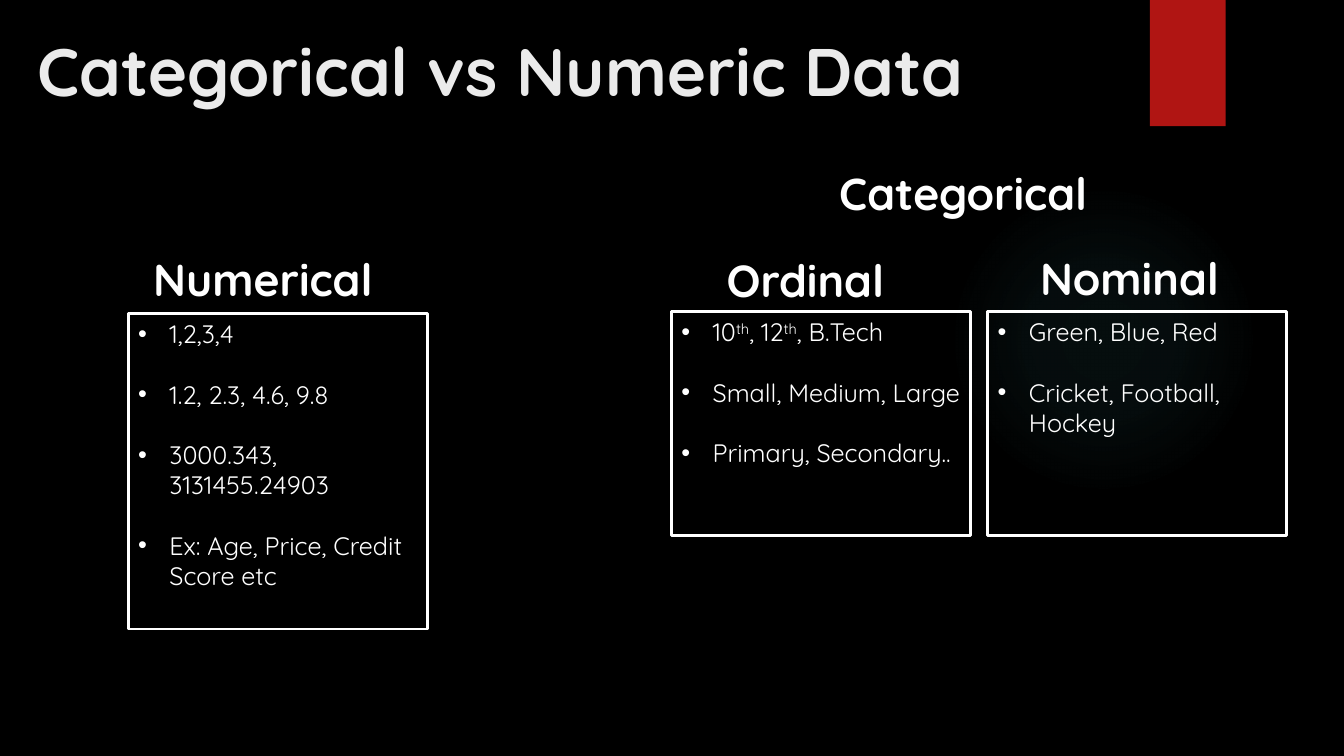
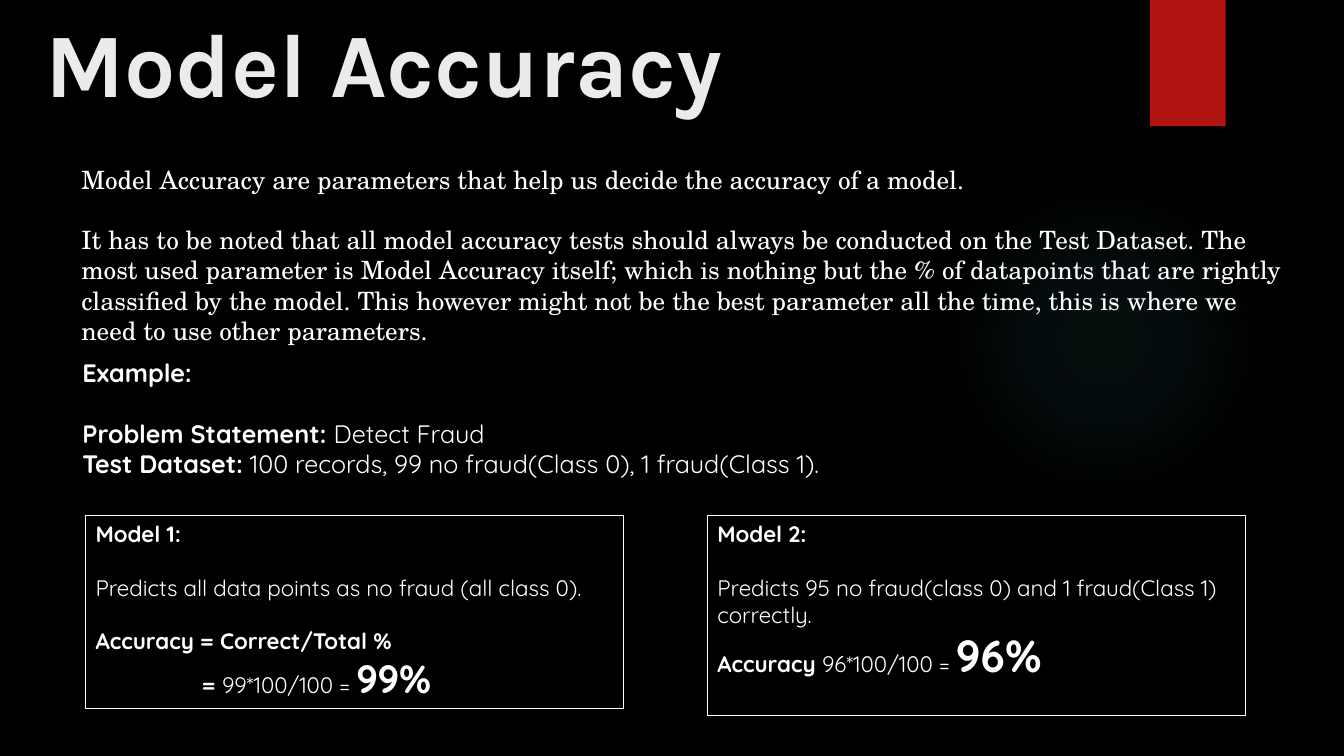
"""Build two slides: data types and model accuracy."""
from lxml import etree
from pptx import Presentation
from pptx.dml.color import RGBColor
from pptx.enum.shapes import MSO_SHAPE
from pptx.enum.text import MSO_ANCHOR
from pptx.oxml.ns import qn
from pptx.util import Cm, Pt

RECT, OVAL = MSO_SHAPE.RECTANGLE, MSO_SHAPE.OVAL
TOP, BOTTOM = MSO_ANCHOR.TOP, MSO_ANCHOR.BOTTOM
SANS, TITLE_SANS, SERIF = "Quicksand", "Karla", "TeX Gyre Schola"
BLACK, WHITE, TITLE_GREY, RED, TEAL = "000000", "FFFFFF", "EBEBEB", "B01513", "50B9C1"
GLOW_STOPS = [(0, 7), (36, 6), (69, 0)]
LINE_HEIGHT = 1.2
BULLET_INDENT = 0.79

BOLD = {"bold": True}
SUPER = {"baseline": 30}

HEADINGS = [
    ("Numerical", (3.61, 6.22, 6.78, 1.63)),
    ("Categorical", (20.9, 4.06, 7.98, 1.63)),
    ("Ordinal", (18.06, 6.25, 5.23, 1.63)),
    ("Nominal", (25.96, 6.2, 5.41, 1.63)),
]
EXAMPLES = [
    ((3.23, 7.9, 7.54, 7.95),
     ["1,2,3,4", "1.2, 2.3, 4.6, 9.8", "3000.343, 3131455.24903",
      "Ex: Age, Price, Credit Score etc"]),
    ((16.92, 7.85, 7.54, 5.64),
     [[("10", {}), ("th", SUPER), (", 12", {}), ("th", SUPER), (", B.Tech", {})],
      "Small, Medium, Large", "Primary, Secondary.."]),
    ((24.89, 7.85, 7.54, 5.64),
     ["Green, Blue, Red", "Cricket, Football, Hockey"]),
]
INTRO = [
    "Model Accuracy are parameters that help us decide the accuracy of a model.",
    "It has to be noted that all model accuracy tests should always be conducted on the "
    "Test Dataset. The most used parameter is Model Accuracy itself; which is nothing but "
    "the % of datapoints that are rightly classified by the model. This however might not "
    "be the best parameter all the time, this is where we need to use other parameters.",
]
PROBLEM = [
    [("Example:", BOLD)],
    [("Problem Statement: ", BOLD), ("Detect Fraud", {})],
    [("Test Dataset:", BOLD), (" 100 records, 99 no fraud(Class 0), 1 fraud(Class 1).", {})],
]
MODELS = [
    ((2.16, 12.98, 13.56, 4.88),
     [[("Model 1:", BOLD)],
      "Predicts all data points as no fraud (all class 0).",
      [("Accuracy = Correct/Total %", BOLD)],
      [("= ", BOLD), ("99*100/100 = ", {}), ("99%", {"bold": True, "size": 28})]],
     {"gaps": {1, 2}, "indents": {3: 2.68}}),
    ((17.83, 12.98, 13.56, 5.05),
     [[("Model 2:", BOLD)],
      "Predicts 95 no fraud(class 0) and 1 fraud(Class 1) correctly.",
      [("Accuracy ", BOLD), ("96*100/100 = ", {}), ("96%", {"bold": True, "size": 32})]],
     {"gaps": {1}}),
]


def rgb(value):
    """Turn a hex string into a colour."""
    return RGBColor.from_string(value)


def add_run(p, text, size=18, font=SANS, color=WHITE, bold=False, baseline=0):
    """Append formatted text to a paragraph."""
    r = p.add_run()
    r.text = text
    r.font.size, r.font.name, r.font.bold = Pt(size), font, bold
    r.font.color.rgb = rgb(color)
    if baseline:
        r.font._element.set("baseline", str(baseline * 1000))


def add_bullet(p):
    """Give a paragraph a hanging round bullet."""
    pPr = p._p.get_or_add_pPr()
    pPr.set("marL", str(Cm(BULLET_INDENT)))
    pPr.set("indent", str(-Cm(BULLET_INDENT)))
    etree.SubElement(pPr, qn("a:buFont")).set("typeface", "Arial")
    etree.SubElement(pPr, qn("a:buChar")).set("char", "•")


def fill_text(tf, paragraphs, gaps=(), indents=None, bullets=False, anchor=TOP, **style):
    """Write paragraphs, with one line of space before those listed in gaps."""
    tf.word_wrap, tf.vertical_anchor = True, anchor
    for i, runs in enumerate(paragraphs):
        p = tf.paragraphs[0] if i == 0 else tf.add_paragraph()
        if i in gaps:
            p.space_before = Pt(style.get("size", 18) * LINE_HEIGHT)
        if bullets:
            add_bullet(p)
        if indents and i in indents:
            p._p.get_or_add_pPr().set("marL", str(Cm(indents[i])))
        for text, extra in [(runs, {})] if isinstance(runs, str) else runs:
            add_run(p, text, **{**style, **extra})


def add_text(s, at, paragraphs, **options):
    """Add a text box."""
    fill_text(s.shapes.add_textbox(*map(Cm, at)).text_frame, paragraphs, **options)


def add_plain_shape(s, kind, at, fill=None):
    """Add a shape without shadow or outline."""
    sp = s.shapes.add_shape(kind, *map(Cm, at))
    sp.shadow.inherit = False
    sp.line.fill.background()
    if fill:
        sp.fill.solid()
        sp.fill.fore_color.rgb = rgb(fill)
    else:
        sp.fill.background()
    return sp


def add_framed_text(s, at, paragraphs, line_width, **options):
    """Add text inside a white outline."""
    sp = add_plain_shape(s, RECT, at)
    sp.line.color.rgb = rgb(WHITE)
    sp.line.width = Pt(line_width)
    fill_text(sp.text_frame, paragraphs, **options)
    for p in sp.text_frame.paragraphs:
        p._p.get_or_add_pPr().set("algn", "l")


def add_glow(s):
    """Add the faint round glow."""
    sp = add_plain_shape(s, OVAL, (23.9, 4.65, 7.82, 7.82))
    grad = etree.Element(qn("a:gradFill"), rotWithShape="1")
    stops = etree.SubElement(grad, qn("a:gsLst"))
    for pos, alpha in GLOW_STOPS:
        stop = etree.SubElement(stops, qn("a:gs"), pos=str(pos * 1000))
        color = etree.SubElement(stop, qn("a:srgbClr"), val=TEAL)
        etree.SubElement(color, qn("a:alpha"), val=str(alpha * 1000))
    circle = etree.SubElement(grad, qn("a:path"), path="circle")
    etree.SubElement(circle, qn("a:fillToRect"), l="50000", t="50000", r="50000", b="50000")
    spPr = sp._element.spPr
    spPr.replace(spPr.find(qn("a:noFill")), grad)


def add_slide(prs, title, left, top, size, font):
    """Add a slide with the shared glow, red tab and title."""
    s = prs.slides.add_slide(prs.slide_layouts[6])
    add_glow(s)
    add_plain_shape(s, RECT, (28.98, 0, 1.91, 3.18), RED)
    add_text(s, (left, top, 28, 2.46), [title], anchor=BOTTOM,
             size=size, font=font, color=TITLE_GREY, bold=True)
    return s


def main():
    """Build and save the presentation."""
    prs = Presentation()
    prs.slide_width, prs.slide_height = Cm(33.87), Cm(19.05)
    background = prs.slide_master.background.fill
    background.solid()
    background.fore_color.rgb = rgb(BLACK)

    s = add_slide(prs, "Categorical vs Numeric Data", 0.69, 0.43, 48, SANS)
    for at, items in EXAMPLES:
        add_framed_text(s, at, items, 2, bullets=True, gaps=range(1, len(items)))
    for heading, at in HEADINGS:
        add_text(s, at, [heading], size=32, bold=True)

    s = add_slide(prs, "Model Accuracy", 0.89, 0.58, 64.8, TITLE_SANS)
    add_text(s, (1.8, 4.01, 30.89, 4.88), INTRO, gaps={1}, font=SERIF)
    add_text(s, (1.83, 8.89, 30.23, 4.11), PROBLEM, gaps={1})
    for at, paragraphs, layout in MODELS:
        add_framed_text(s, at, paragraphs, 0.75, size=16, **layout)

    prs.save("out.pptx")


if __name__ == "__main__":
    main()
